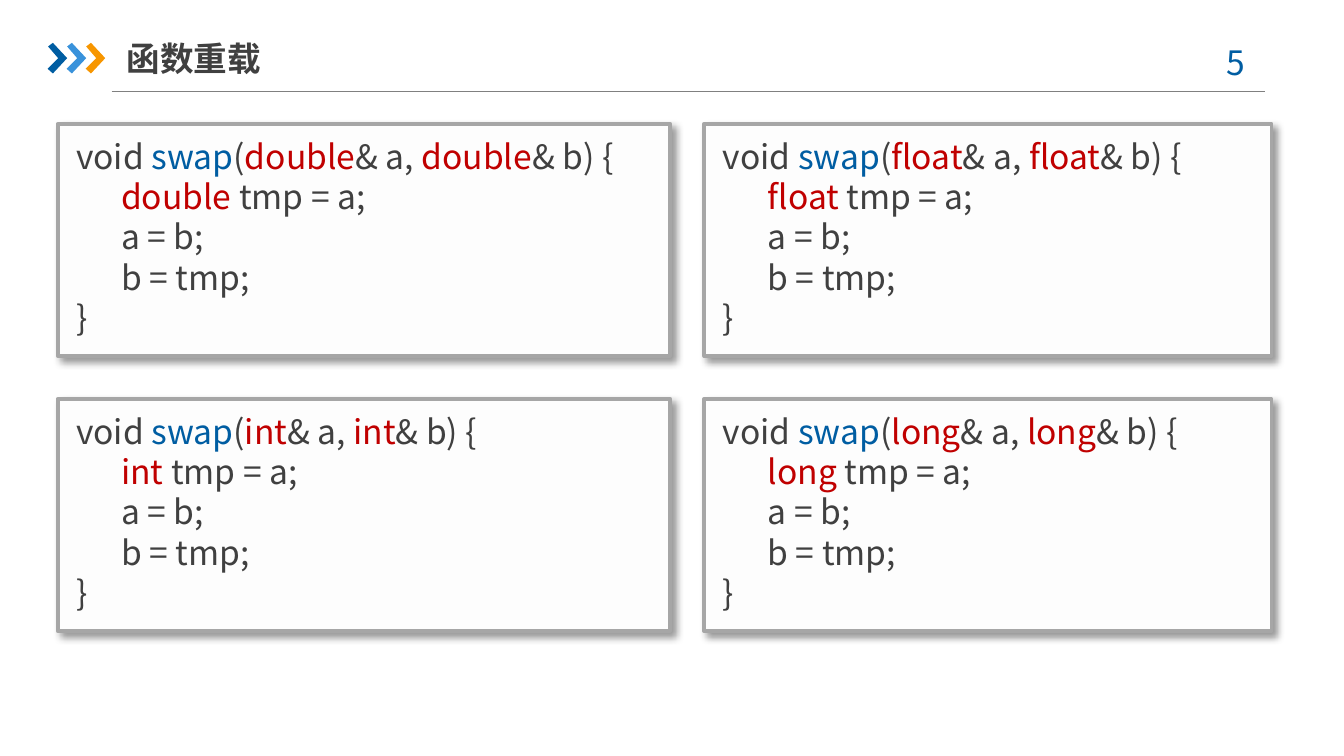
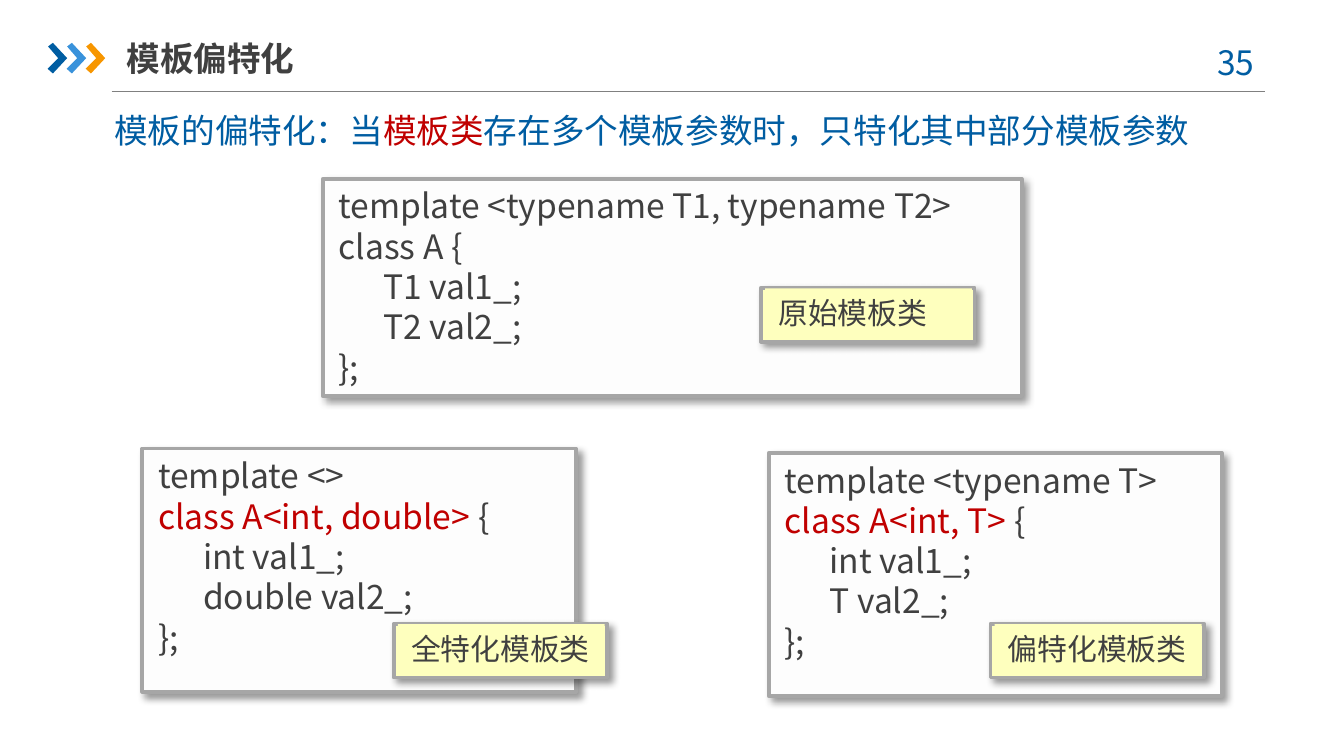
from lxml.etree import SubElement
from pptx import Presentation
from pptx.dml.color import RGBColor
from pptx.enum.shapes import MSO_CONNECTOR, MSO_SHAPE
from pptx.enum.text import MSO_ANCHOR, PP_ALIGN
from pptx.oxml.ns import qn
from pptx.util import Cm, Pt

FONT = "Noto Sans CJK SC"
COLORS = {
    "text": "404040", "blue": "005DA2", "sky": "3992DB", "orange": "F79600",
    "red": "C00000", "rule": "808080", "border": "A6A6A6",
    "card": "FDFDFD", "label": "FEFFBE", "shadow": "000000",
}
CHEVRON = [(0.91, 0.88), (1, 0.81), (1.27, 1.1), (1, 1.39), (0.9, 1.3), (1.1, 1.1)]
CHEVRON_STEP = 0.36
CODE_INDENT = 0.85


def rgb(name):
    return RGBColor.from_string(COLORS[name])


def set_attrs(obj, **values):
    for name, value in values.items():
        setattr(obj, name, value)


def red(text):
    return text, "red"


def blue(text):
    return text, "blue"


def add_run(p, text, color, size, bold):
    r = p.add_run()
    r.text = text
    set_attrs(r.font, size=Pt(size), bold=bold, name=FONT)
    r.font.color.rgb = rgb(color)
    SubElement(r.font._element, qn("a:ea")).set("typeface", FONT)


def write(sp, lines, size=18, color="text", bold=False, fmt=None, frame=None):
    tf = sp.text_frame
    set_attrs(tf, **{"word_wrap": True, "vertical_anchor": MSO_ANCHOR.TOP, **(frame or {})})
    for i, (level, runs) in enumerate(lines):
        p = tf.paragraphs[0] if i == 0 else tf.add_paragraph()
        set_attrs(p, **{"alignment": PP_ALIGN.LEFT, "line_spacing": Pt(size * 1.2), **(fmt or {})})
        if level:
            p._p.get_or_add_pPr().set("marL", str(Cm(CODE_INDENT * level)))
        for run in runs:
            text, run_color = (run, color) if isinstance(run, str) else run
            add_run(p, text, run_color, size, bold)


def add_text(shapes, box, lines, **style):
    sp = shapes.add_textbox(*map(Cm, box))
    write(sp, lines, **style)


def add_rect(shapes, box, fill):
    sp = shapes.add_shape(MSO_SHAPE.RECTANGLE, *map(Cm, box))
    sp.shadow.inherit = False
    sp.fill.solid()
    sp.fill.fore_color.rgb = rgb(fill)
    sp.line.fill.background()
    return sp


def add_framed_rect(shapes, box, fill):
    sp = add_rect(shapes, box, fill)
    sp.line.color.rgb = rgb("border")
    sp.line.width = Pt(2)
    effects = sp._element.spPr.find(qn("a:effectLst"))
    shadow = SubElement(effects, qn("a:outerShdw"), blurRad=str(Pt(4)), dist=str(Pt(3)),
                        dir=str(45 * 60000), algn="tl", rotWithShape="0")
    clr = SubElement(shadow, qn("a:srgbClr"), val=COLORS["shadow"])
    SubElement(clr, qn("a:alpha"), val="40000")


def add_code_card(s, box, lines, dx=0.05, dy=0):
    x, y, w, h = box
    shapes = s.shapes.add_group_shape().shapes
    add_framed_rect(shapes, box, "card")
    add_text(shapes, (x + dx, y + dy, w - 0.28, min(4.11, h - 0.28)), lines)


def add_label(s, x, y, text):
    shapes = s.shapes.add_group_shape().shapes
    add_framed_rect(shapes, (x, y, 4.04, 1.02), "label")
    sp = add_rect(shapes, (x + 0.08, y + 0.01, 3.91, 0.94), "label")
    write(sp, [(0, [text])], size=16, fmt={"space_after": Pt(6)})


def add_chevrons(s):
    shapes = s.shapes.add_group_shape().shapes
    for i, color in enumerate(("blue", "sky", "orange")):
        pts = [(Cm(x + i * CHEVRON_STEP), Cm(y)) for x, y in CHEVRON]
        fb = shapes.build_freeform(*pts[0])
        fb.add_line_segments(pts[1:], close=True)
        sp = fb.convert_to_shape()
        sp.shadow.inherit = False
        sp.fill.solid()
        sp.fill.fore_color.rgb = rgb(color)
        sp.line.fill.background()


def add_slide(prs, title, number):
    s = prs.slides.add_slide(prs.slide_layouts[6])
    rule = s.shapes.add_connector(MSO_CONNECTOR.STRAIGHT, Cm(2.11), Cm(1.73), Cm(23.9), Cm(1.73))
    rule.line.color.rgb = rgb("rule")
    rule.line.width = Pt(0.75)
    SubElement(rule._element.spPr, qn("a:effectLst"))
    add_chevrons(s)
    add_text(s.shapes, (22.5, 0.66, 1.85, 1.02), [(0, [f"{number} "])], color="blue",
             fmt={"alignment": PP_ALIGN.CENTER})
    add_text(s.shapes, (2.39, 0.56, 6.53, 1.07), [(0, [title])], bold=True,
             frame={"vertical_anchor": MSO_ANCHOR.MIDDLE, "margin_left": 0, "margin_right": 0})
    return s


def swap_code(kind):
    return [
        (0, ["void ", blue("swap"), "(", red(kind), "& a, ", red(kind), "& b) {"]),
        (1, [red(f"{kind} "), "tmp = a;"]),
        (1, ["a = b;"]),
        (1, ["b = tmp;"]),
        (0, ["}"]),
    ]


def class_code(template, head, type1, type2):
    return [
        (0, [template]),
        (0, [head, "{"]),
        (1, [f"{type1} val1_;"]),
        (1, [f"{type2} val2_;"]),
        (0, ["};"]),
    ]


def build_overloading(prs):
    s = add_slide(prs, "函数重载", 5)
    columns = [(1.09, 11.58), (13.31, 10.72)]
    for y, kinds in ((2.34, ("double", "float")), (7.54, ("int", "long"))):
        for (x, w), kind in zip(columns, kinds):
            add_code_card(s, (x, y, w, 4.39), swap_code(kind), dx=0.1, dy=0.1)


def build_specialization(prs):
    s = add_slide(prs, "模板偏特化", 35)
    definition = ["模板的偏特化：当", red("模板类"), "存在多个模板参数时，只特化其中部分模板参数"]
    add_text(s.shapes, (1.91, 1.96, 22, 1.02), [(0, definition)], color="blue",
             fmt={"alignment": PP_ALIGN.JUSTIFY, "space_after": Pt(12)})
    cards = [
        ((6.1, 3.38, 13.21, 4.11), ("template <typename T1, typename T2>", "class A ", "T1", "T2")),
        ((2.69, 8.48, 8.2, 4.6), ("template <>", red("class A<int, double> "), "int", "double")),
        ((14.53, 8.56, 8.56, 4.6), ("template <typename T>", red("class A<int, T> "), "int", "T")),
    ]
    for box, parts in cards:
        add_code_card(s, box, class_code(*parts))
    labels = [(14.38, 5.44, "原始模板类"), (7.44, 11.79, "全特化模板类"), (18.72, 11.79, "偏特化模板类")]
    for label in labels:
        add_label(s, *label)


def main():
    prs = Presentation()
    set_attrs(prs, slide_width=Cm(25.4), slide_height=Cm(14.29))
    build_overloading(prs)
    build_specialization(prs)
    prs.save("out.pptx")


if __name__ == "__main__":
    main()
